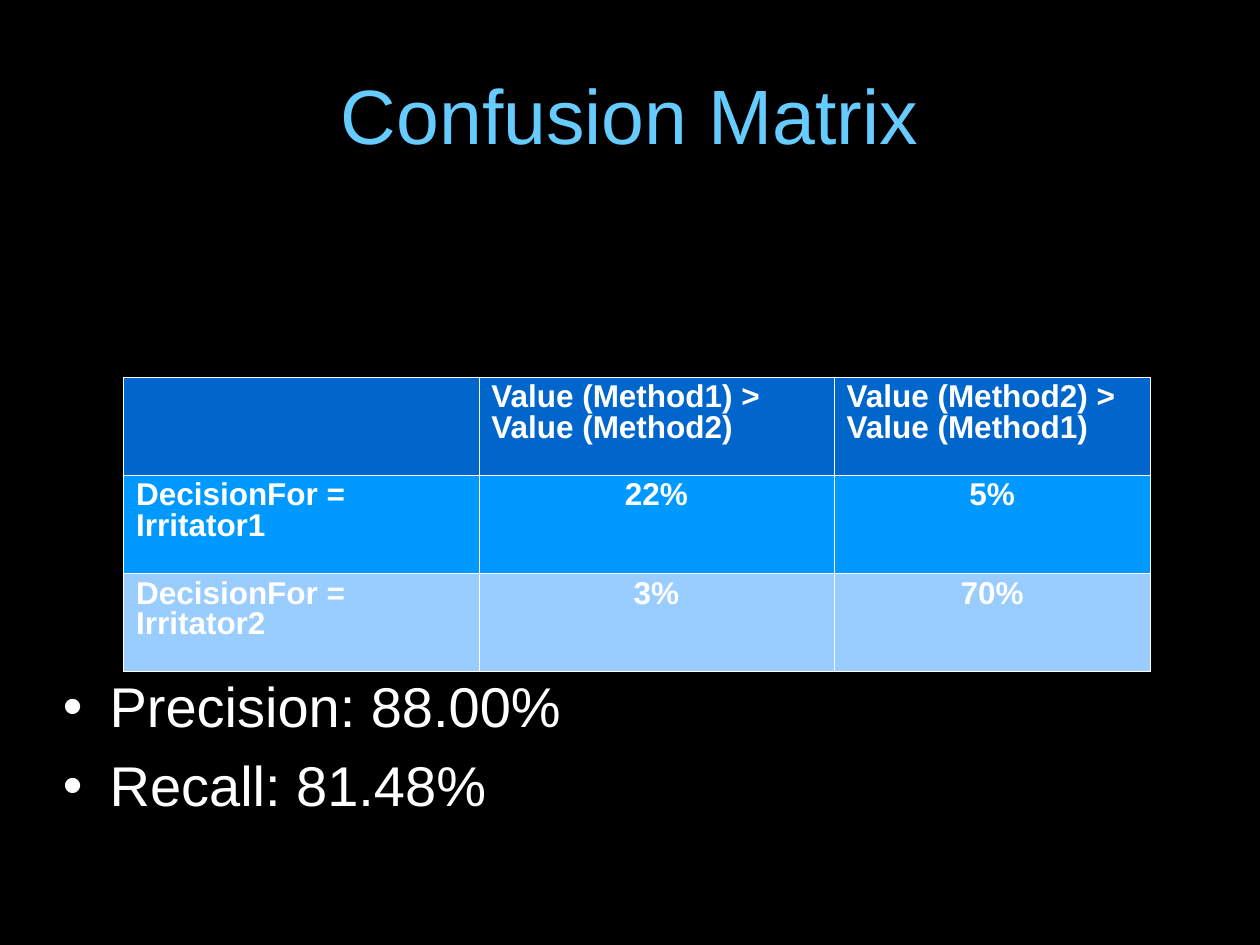
from dataclasses import dataclass

from lxml import etree
from pptx import Presentation
from pptx import util as u
from pptx.dml.color import RGBColor
from pptx.enum import text
from pptx.oxml import ns

BLACK = RGBColor(0x00, 0x00, 0x00)
WHITE = RGBColor(0xFF, 0xFF, 0xFF)
SKY = RGBColor(0x66, 0xCC, 0xFF)
DEEP_BLUE = RGBColor(0x00, 0x66, 0xCC)
MID_BLUE = RGBColor(0x00, 0x99, 0xFF)
PALE_BLUE = RGBColor(0x99, 0xCC, 0xFF)

FONT = "Arial"
LEFT = text.PP_ALIGN.LEFT
CENTER = text.PP_ALIGN.CENTER


@dataclass
class TextBlock:
    top: float
    height: float
    wording: str
    size: float
    color: RGBColor
    align: text.PP_ALIGN
    anchor: text.MSO_ANCHOR
    bottom_inset: float = 0
    space_before: float = 0
    bulleted: bool = False


@dataclass
class MatrixRow:
    fill: RGBColor
    cells: tuple[str, str, str]


TITLE = TextBlock(0.35, 1.15, "Confusion Matrix", 44, SKY, CENTER,
                  text.MSO_ANCHOR.MIDDLE)
SCORES = TextBlock(1.75, 4.85, "Precision: 88.00%\nRecall: 81.48%", 32, WHITE, LEFT,
                   text.MSO_ANCHOR.BOTTOM, 0.1, 9.5, True)

MATRIX = [
    MatrixRow(DEEP_BLUE, ("", "Value (Method1) > Value (Method2)",
                          "Value (Method2) >\nValue (Method1)")),
    MatrixRow(MID_BLUE, ("DecisionFor = Irritator1", "22%", "5%")),
    MatrixRow(PALE_BLUE, ("DecisionFor = Irritator2", "3%", "70%")),
]
COLUMN_WIDTHS = (2.82, 2.82, 2.51)
ROW_HEIGHT = 0.78


def format_text(frame, size: float, color: RGBColor, align: text.PP_ALIGN,
                line_spacing: float, bold: bool = False) -> None:
    for para in frame.paragraphs:
        para.alignment = align
        para.line_spacing = line_spacing
        for span in para.runs:
            span.font.name = FONT
            span.font.size = u.Pt(size)
            span.font.bold = bold
            span.font.color.rgb = color


def add_bullet(para) -> None:
    props = para._p.get_or_add_pPr()
    indent = u.Inches(0.37)
    props.set("marL", str(indent))
    props.set("indent", str(-indent))
    etree.SubElement(props, ns.qn("a:buFont"), typeface=FONT)
    etree.SubElement(props, ns.qn("a:buChar"), char="•")


def add_text(page, block: TextBlock) -> None:
    box = page.shapes.add_textbox(u.Inches(0.5), u.Inches(block.top),
                                  u.Inches(9), u.Inches(block.height))
    frame = box.text_frame
    frame.word_wrap = True
    frame.vertical_anchor = block.anchor
    frame.margin_left = frame.margin_right = 0
    frame.margin_top = u.Inches(0.04)
    frame.margin_bottom = u.Inches(block.bottom_inset)
    frame.text = block.wording
    format_text(frame, block.size, block.color, block.align, 0.93)
    for para in frame.paragraphs:
        para.space_before = u.Pt(block.space_before)
        if block.bulleted:
            add_bullet(para)


def add_borders(cell, color: RGBColor) -> None:
    props = cell._tc.get_or_add_tcPr()
    for position, side in enumerate(("a:lnL", "a:lnR", "a:lnT", "a:lnB")):
        line = etree.Element(ns.qn(side), w=str(u.Pt(0.06)))
        fill = etree.SubElement(line, ns.qn("a:solidFill"))
        etree.SubElement(fill, ns.qn("a:srgbClr"), val=str(color))
        props.insert(position, line)


def add_matrix(page, rows: list[MatrixRow]) -> None:
    table = page.shapes.add_table(
        len(rows), len(COLUMN_WIDTHS), u.Inches(0.98), u.Inches(2.99),
        u.Inches(sum(COLUMN_WIDTHS)), u.Inches(ROW_HEIGHT * len(rows))).table
    for column, width in zip(table.columns, COLUMN_WIDTHS):
        column.width = u.Inches(width)
    for row_index, row in enumerate(rows):
        table.rows[row_index].height = u.Inches(ROW_HEIGHT)
        for column_index, wording in enumerate(row.cells):
            cell = table.cell(row_index, column_index)
            cell.fill.solid()
            cell.fill.fore_color.rgb = row.fill
            add_borders(cell, WHITE)
            cell.text_frame.text = wording
            align = CENTER if row_index and column_index else LEFT
            format_text(cell.text_frame, 18, WHITE, align, 0.87, bold=True)


def main() -> None:
    deck = Presentation()
    deck.slide_width = u.Inches(10)
    deck.slide_height = u.Inches(7.5)
    page = deck.slides.add_slide(deck.slide_layouts[6])
    page.background.fill.solid()
    page.background.fill.fore_color.rgb = BLACK

    # Title and scores below the matrix
    add_text(page, TITLE)
    add_text(page, SCORES)

    # Confusion matrix
    add_matrix(page, MATRIX)

    deck.save("out.pptx")


if __name__ == "__main__":
    main()
